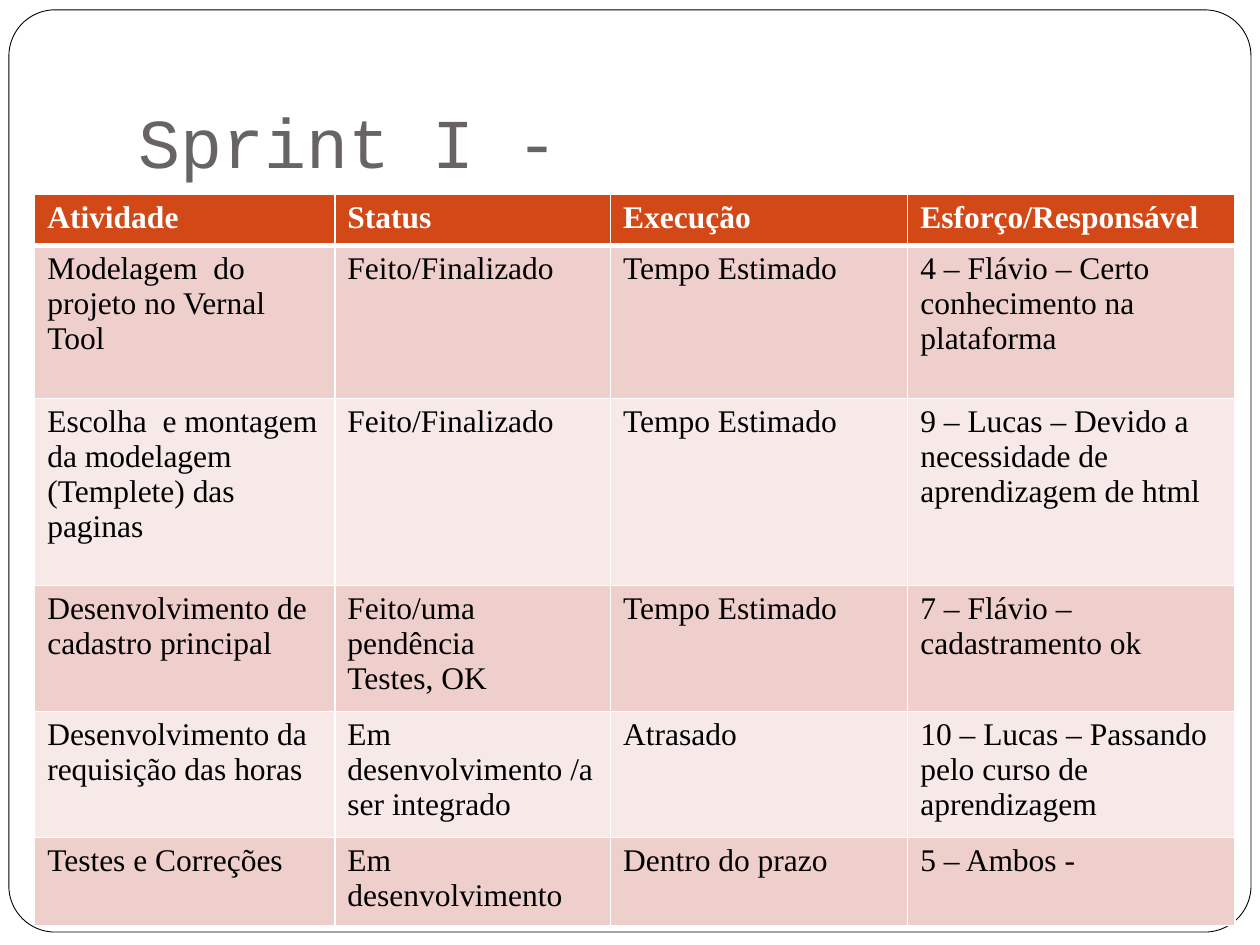
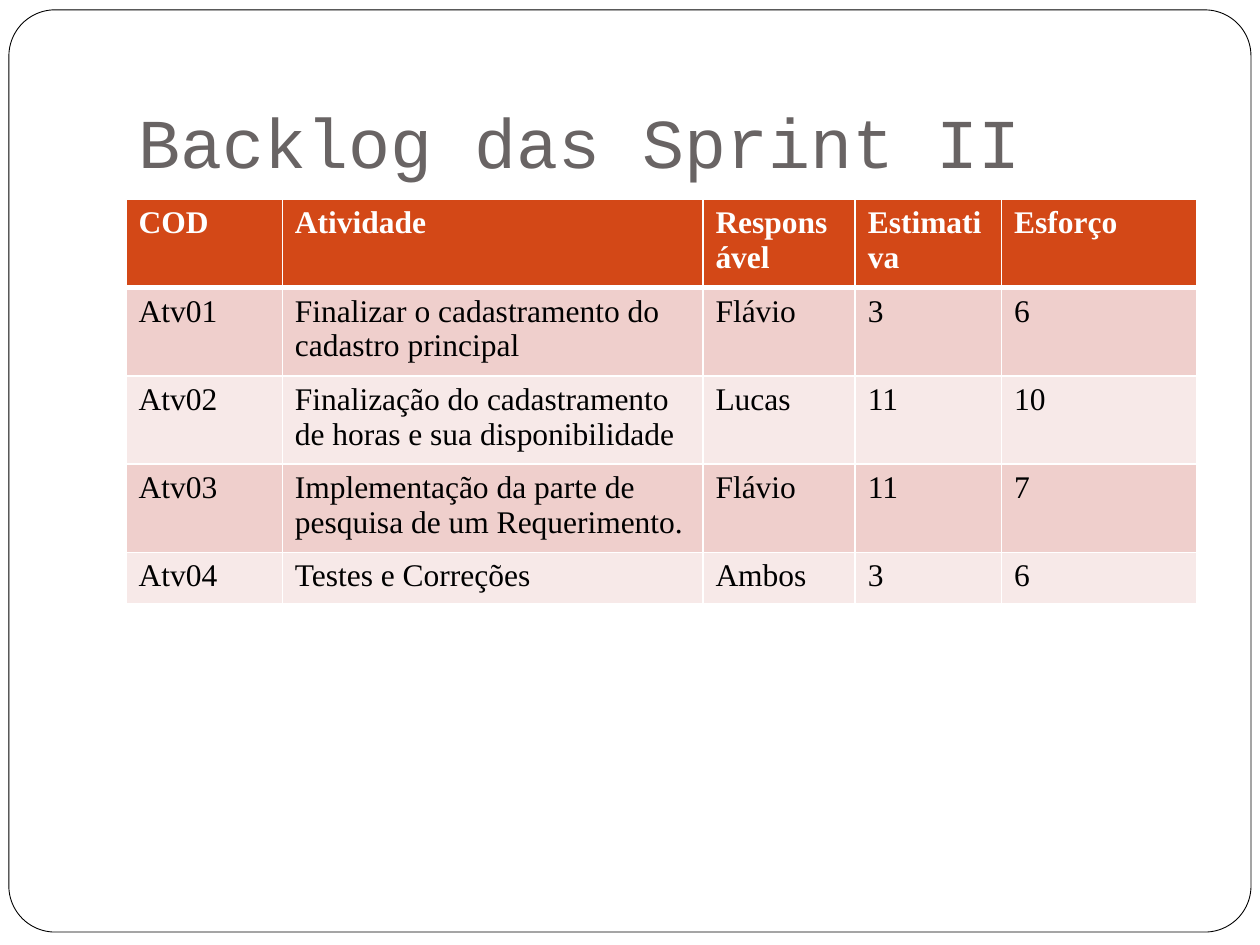
from lxml.etree import SubElement
from pptx import Presentation
from pptx.dml.color import RGBColor
from pptx.enum.shapes import MSO_SHAPE as Shape
from pptx.enum.text import MSO_ANCHOR as Anchor
from pptx.oxml.ns import qn
from pptx.util import Cm, Pt

COLORS = {
    "paper": "FFFFFF",
    "frame": "000000",
    "title": "696464",
    "header": "D34817",
    "header_text": "FFFFFF",
    "body_text": "000000",
    "odd_row": "EFCFCC",
    "even_row": "F7E9E8",
    "rule": "FFFFFF",
}
TITLE_FONT = {"name": "Courier New", "size": Pt(40), "bold": False}
HEADER_FONT = {"name": "Times New Roman", "size": Pt(18), "bold": True}
BODY_FONT = {**HEADER_FONT, "bold": False}
TITLE_FRAME = {
    "word_wrap": True,
    "vertical_anchor": Anchor.BOTTOM,
    "margin_left": Cm(0.25),
    "margin_right": Cm(0.25),
    "margin_top": Cm(0.13),
    "margin_bottom": Cm(0.25),
}

# Positions, column widths and row heights are in centimetres.
# Rows start at ROW_HEIGHT and grow with their text; "tall_rows" are fixed.
ROW_HEIGHT = 1.03
SPRINTS = [
    {
        "title": "Sprint I -",
        "corner": (0.7, 3.92),
        "height": 13.74,
        "columns": [6.05, 5.56, 5.99, 6.6],
        "tall_rows": {1: 3.08, 2: 3.77},
        "activities": [
            ("Atividade", "Status", "Execução", "Esforço/Responsável"),
            ("Modelagem  do projeto no Vernal  Tool", "Feito/Finalizado",
             "Tempo Estimado", "4 – Flávio – Certo conhecimento na plataforma"),
            ("Escolha  e montagem da modelagem (Templete) das paginas",
             "Feito/Finalizado", "Tempo Estimado",
             "9 – Lucas – Devido a necessidade de aprendizagem de html"),
            ("Desenvolvimento de cadastro principal",
             "Feito/uma pendência\nTestes, OK", "Tempo Estimado",
             "7 – Flávio – cadastramento ok"),
            ("Desenvolvimento da requisição das horas",
             "Em desenvolvimento /a ser integrado", "Atrasado",
             "10 – Lucas – Passando pelo curso de aprendizagem"),
            ("Testes e Correções", "Em desenvolvimento", "Dentro do prazo",
             "5 – Ambos -"),
        ],
    },
    {
        "title": "Backlog das Sprint II",
        "corner": (2.54, 4.02),
        "height": 8.15,
        "columns": [3.15, 8.48, 3.07, 2.95, 3.94],
        "tall_rows": {},
        "activities": [
            ("COD", "Atividade", "Responsável", "Estimativa", "Esforço"),
            ("Atv01", "Finalizar o cadastramento do cadastro principal",
             "Flávio", "3", "6"),
            ("Atv02", "Finalização do cadastramento de horas e sua disponibilidade",
             "Lucas", "11", "10"),
            ("Atv03", "Implementação da parte de pesquisa de um Requerimento.",
             "Flávio", "11", "7"),
            ("Atv04", "Testes e Correções", "Ambos", "3", "6"),
        ],
    },
]


def rgb(name):
    return RGBColor.from_string(COLORS[name])


def apply(target, values):
    for attribute, value in values.items():
        setattr(target, attribute, value)


def write(text_frame, text, font, color):
    text_frame.text = text
    for paragraph in text_frame.paragraphs:
        for run in paragraph.runs:
            apply(run.font, font)
            run.font.color.rgb = rgb(color)


def add_frame(slide):
    frame = slide.shapes.add_shape(
        Shape.ROUNDED_RECTANGLE, Cm(0.18), Cm(0.2), Cm(25.04), Cm(18.59))
    frame.adjustments[0] = 0.05
    frame.shadow.inherit = False
    frame.fill.solid()
    frame.fill.fore_color.rgb = rgb("paper")
    frame.line.color.rgb = rgb("frame")
    frame.line.width = Pt(0.5)


def add_title(slide, text):
    title = slide.shapes.add_textbox(Cm(2.54), Cm(0.76), Cm(21.59), Cm(3.16))
    apply(title.text_frame, TITLE_FRAME)
    write(title.text_frame, text, TITLE_FONT, "title")


def set_borders(cell, row):
    """Rule every side thinly, with a thick rule between header and body."""
    widths = {"lnL": 1, "lnR": 1, "lnT": 3 if row == 1 else 1,
              "lnB": 3 if row == 0 else 1}
    properties = cell._tc.get_or_add_tcPr()
    for side, width in widths.items():
        line = SubElement(properties, qn(f"a:{side}"), w=str(Pt(width)))
        fill = SubElement(line, qn("a:solidFill"))
        SubElement(fill, qn("a:srgbClr"), val=COLORS["rule"])


def add_activities(slide, sprint):
    columns, activities = sprint["columns"], sprint["activities"]
    left, top = sprint["corner"]
    holder = slide.shapes.add_table(
        len(activities), len(columns), Cm(left), Cm(top),
        Cm(sum(columns)), Cm(sprint["height"]))
    table = holder.table
    for column, width in zip(table.columns, columns):
        column.width = Cm(width)
    for r, row in enumerate(table.rows):
        row.height = Cm(sprint["tall_rows"].get(r, ROW_HEIGHT))
    holder.height = Cm(sprint["height"])

    for r, activity in enumerate(activities):
        if r == 0:
            band, font, color = "header", HEADER_FONT, "header_text"
        else:
            band = "odd_row" if r % 2 else "even_row"
            font, color = BODY_FONT, "body_text"
        for c, text in enumerate(activity):
            cell = table.cell(r, c)
            write(cell.text_frame, text, font, color)
            set_borders(cell, r)
            cell.fill.solid()
            cell.fill.fore_color.rgb = rgb(band)


def main():
    deck = Presentation()
    deck.slide_width, deck.slide_height = Cm(25.4), Cm(19.05)
    blank = deck.slide_layouts[6]
    for sprint in SPRINTS:
        slide = deck.slides.add_slide(blank)
        add_frame(slide)
        add_title(slide, sprint["title"])
        add_activities(slide, sprint)
    deck.save("out.pptx")


if __name__ == "__main__":
    main()
